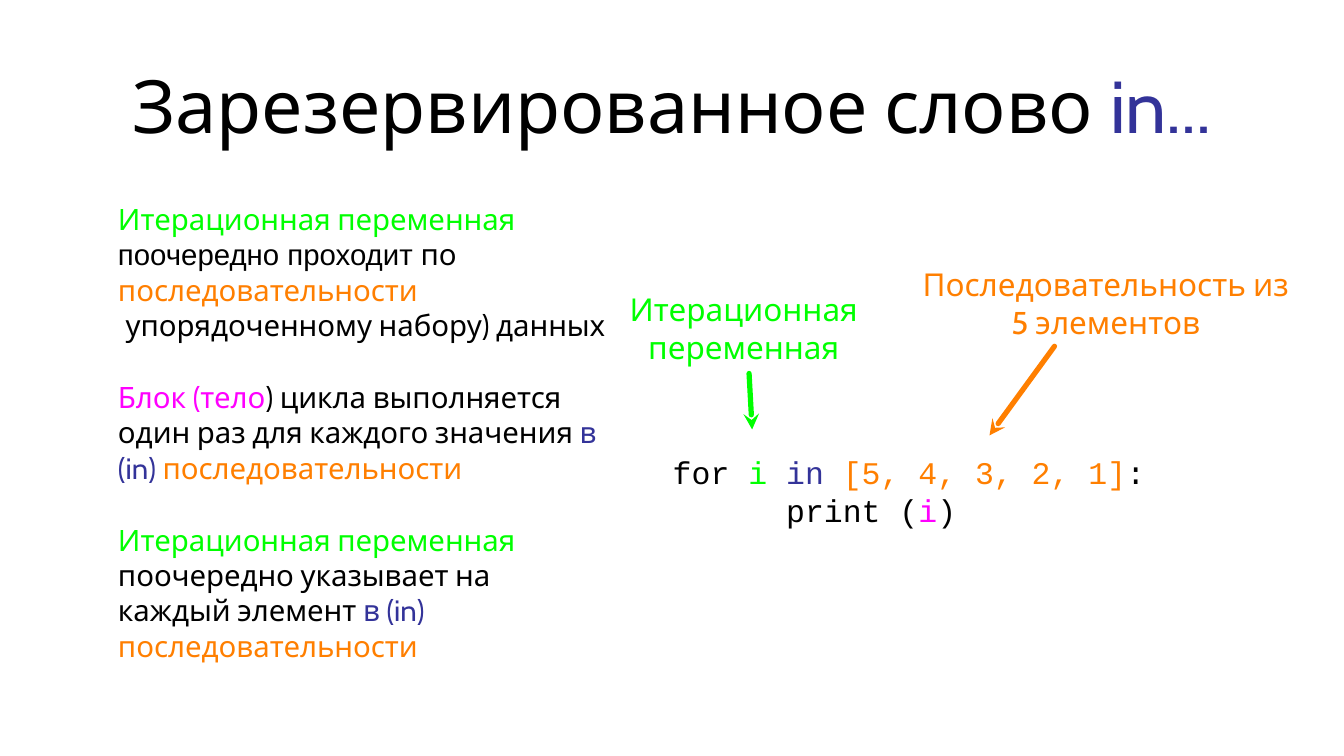
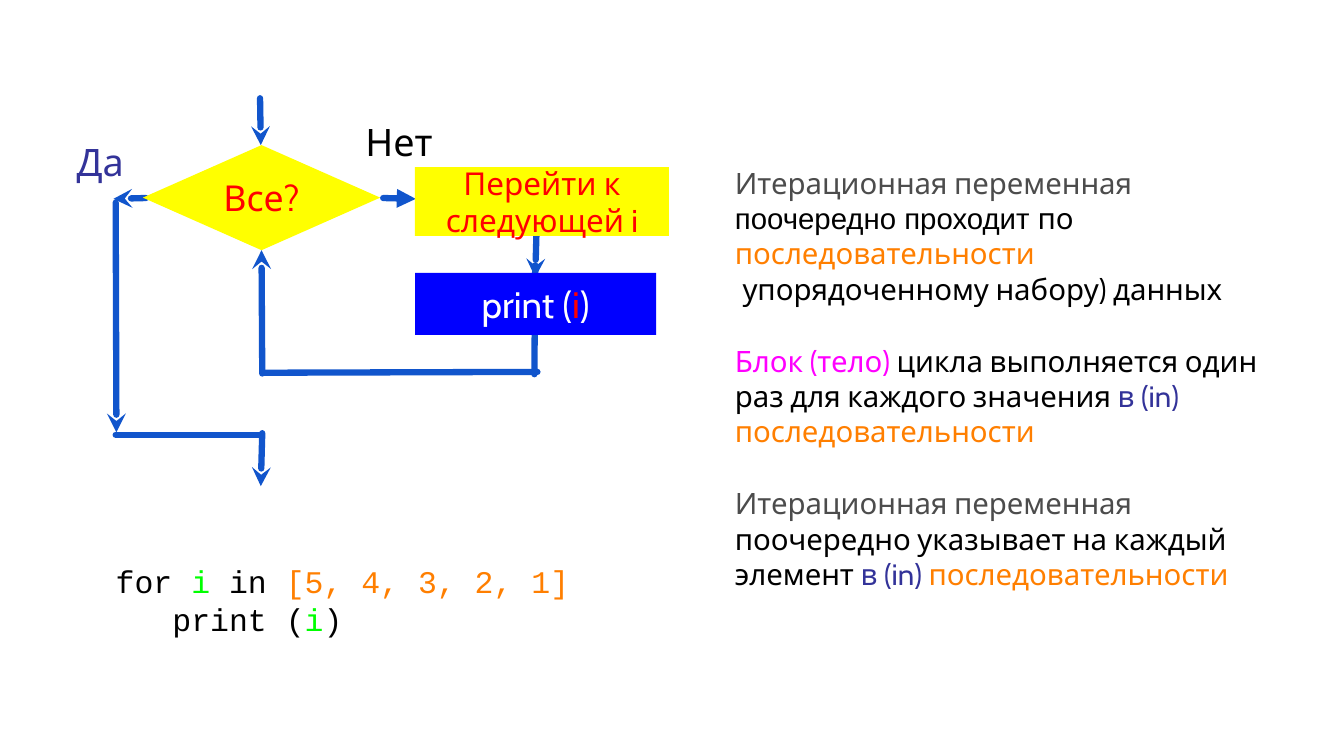
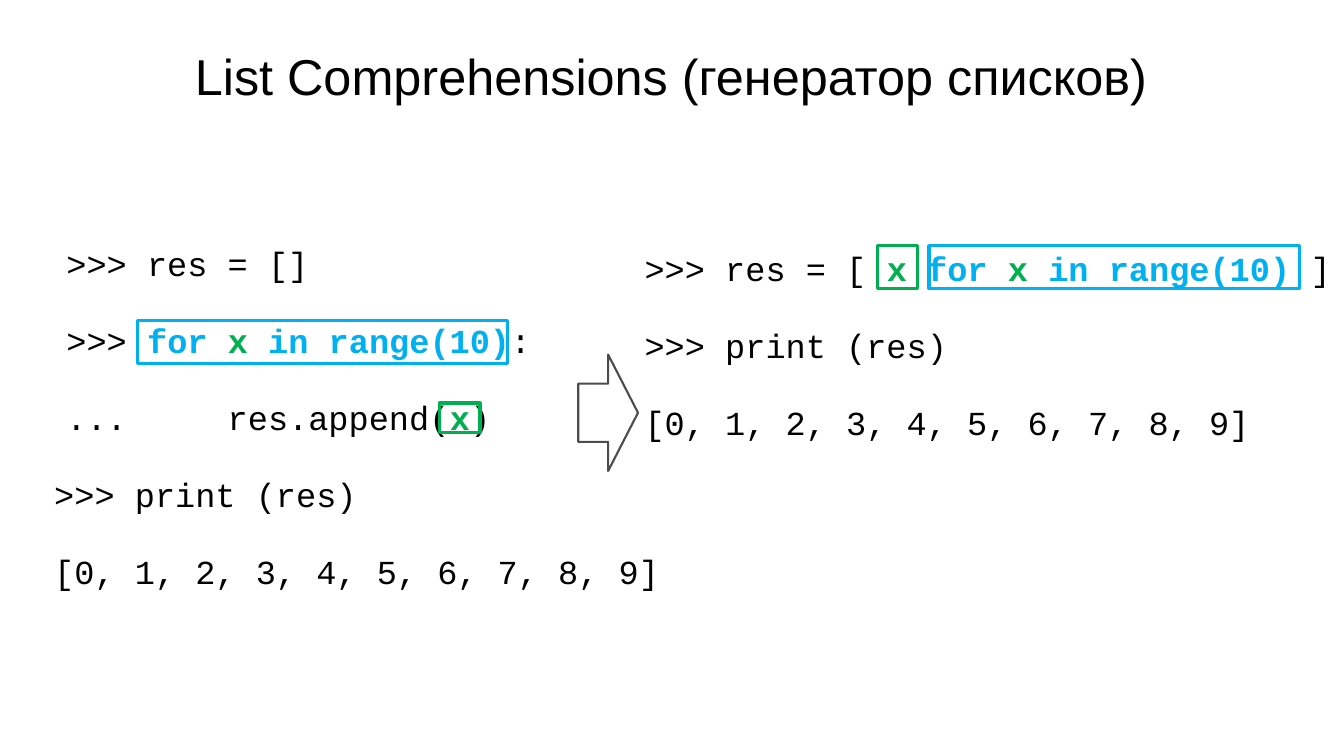
from lxml.etree import SubElement
from pptx import Presentation
from pptx.dml.color import RGBColor
from pptx.enum.shapes import MSO_CONNECTOR as Connector, MSO_SHAPE as Shape
from pptx.enum.text import MSO_ANCHOR as Anchor, MSO_AUTO_SIZE as AutoSize, PP_ALIGN as Align
from pptx.oxml.ns import qn
from pptx.util import Pt

BLACK = RGBColor(0, 0, 0)
WHITE = RGBColor(255, 255, 255)
GREY = RGBColor(0x4C, 0x4C, 0x4C)
LIME = RGBColor(0, 255, 0)
ORANGE = RGBColor(0xFF, 0x7F, 0)
MAGENTA = RGBColor(255, 0, 255)
INDIGO = RGBColor(0x33, 0x33, 0x99)
RED = RGBColor(255, 0, 0)
YELLOW = RGBColor(255, 255, 0)
BLUE = RGBColor(0, 0, 255)
FLOW = RGBColor(0x11, 0x55, 0xCC)
SKY = RGBColor(0, 0xB0, 0xF0)
GREEN = RGBColor(0, 0xB0, 0x50)

HUMAN, PLAIN, MONO = "Cabin", "Arial", "Courier New"
ARIAL = {"name": PLAIN}
BOLD = {"bold": True}
GAP = 35

IN_TITLE = [[("Зарезервированное слово ", BLACK), ("in...", INDIGO)]]
COMPREHENSION_TITLE = [[("List Comprehensions (генератор списков)", BLACK)]]


def loop_notes(variable_colour, block, rest):
    variable = ("Итерационная переменная ", variable_colour)
    inside = ("в (in) ", INDIGO)
    return [
        [variable, ("поочередно проходит ", BLACK, ARIAL), ("по ", BLACK),
         ("последовательности ", ORANGE), ("(", WHITE),
         ("упорядоченному набору) данных", BLACK)],
        [(block, MAGENTA), (rest + "цикла выполняется один раз для каждого значения ", BLACK),
         inside, ("последовательности", ORANGE)],
        [variable, ("поочередно указывает на каждый элемент ", BLACK),
         inside, ("последовательности", ORANGE)],
    ]


IN_NOTES = loop_notes(LIME, "Блок (тело", ") ")
FLOW_NOTES = loop_notes(GREY, "Блок (тело) ", "")

IN_CODE = [
    [("for ", BLACK), ("i ", LIME), ("in ", INDIGO), ("[5, 4, 3, 2, 1]", ORANGE), (":", BLACK)],
    [("print (", BLACK), ("i", MAGENTA), (")", BLACK)],
]
FLOW_CODE = [
    [("for ", BLACK), ("i ", LIME), ("in ", BLACK), ("[5, 4, 3, 2, 1] ", ORANGE), (":", WHITE)],
    [("print (", BLACK), ("i", LIME), (")", BLACK)],
]
IN_LABELS = [
    ("Итерационная переменная", LIME, (580.3, 288, 256.3, 49)),
    ("Последовательность из 5 элементов", ORANGE, (869, 264.2, 368.6, 49)),
]
IN_ARROWS = [
    (LIME, (713.5, 355.7), (716.4, 409)),
    (ORANGE, (1004.4, 329.8), (942.5, 414.7)),
]

FLOW_LINES = [
    ((247.7, 93.6), (248.4, 138.2), "stealth"),
    ((249.8, 355.7), (249.1, 238.3), "stealth"),
    ((511.2, 213.8), (509.8, 264.2), "stealth"),
    ((509.8, 252.7), (509, 356.4), None),
    ((249.8, 355), (511.9, 354.2), None),
    ((139, 188.6), (108, 189.4), "stealth"),
    ((249.8, 412.6), (248.4, 463), "stealth"),
    ((110.2, 193), (110.9, 411.8), "stealth"),
    ((110.2, 414), (248.4, 414), None),
    ((365, 188.6), (396, 189.4), "triangle"),
]
FLOW_BLOCKS = [
    (Shape.DIAMOND, YELLOW, (136.1, 138.2, 226.1, 100.1), 34, [("Все?", RED)]),
    (Shape.RECTANGLE, BLUE, (395.3, 259.9, 229.7, 59), 35,
     [("print (", WHITE), ("i", RED), (")", WHITE)]),
    (Shape.RECTANGLE, YELLOW, (395.3, 159.1, 241.9, 65.5), 30,
     [("Перейти к следующей i", RED)]),
]
FLOW_LABELS = [
    ("Да", INDIGO, (67, 128.9, 56.9, 49)),
    ("Нет", BLACK, (331.2, 110.2, 97.9, 49)),
]

PRINTED = [
    [(">>> print (res)", BLACK)],
    [("[0, 1, 2, 3, 4, 5, 6, 7, 8, 9]", BLACK)],
]
LOOP_CODE = [
    [(">>> res = []", BLACK)],
    [(">>> ", BLACK), ("for ", SKY, BOLD), ("x", GREEN, BOLD),
     (" in range(10)", SKY, BOLD), (":", BLACK)],
    [("...     res.append(", BLACK), ("x", GREEN, BOLD), (")", BLACK)],
] + PRINTED
COMPREHENSION_CODE = [
    [(">>> res = [ ", BLACK), ("x ", GREEN, BOLD), ("for ", SKY, BOLD), ("x ", GREEN, BOLD),
     ("in range(10) ", SKY, BOLD), ("]", BLACK)],
] + PRINTED
FRAMES = [
    (SKY, (131, 305.3, 352.8, 41)),
    (SKY, (884.9, 234, 352.8, 41)),
    (GREEN, (419, 383.8, 38.2, 28.1)),
    (GREEN, (835.9, 234, 38.2, 41)),
]


def points(values):
    return [Pt(value) for value in values]


def write(box, paras, size, font, align=Align.LEFT, inset=0, indents=(), gaps=()):
    frame = box.text_frame
    frame.auto_size = AutoSize.NONE
    frame.word_wrap = True
    frame.vertical_anchor = Anchor.MIDDLE
    frame.margin_left = frame.margin_right = Pt(inset)
    frame.margin_top = frame.margin_bottom = Pt(inset)
    for index, spans in enumerate(paras):
        para = frame.add_paragraph() if index else frame.paragraphs[0]
        para.alignment = align
        para.font.size = Pt(size)
        para.font.name = font
        if gaps:
            para.space_before = Pt(gaps[index])
        if indents:
            para._p.get_or_add_pPr().set("marL", str(Pt(indents[index])))
        for text, colour, *style in spans:
            span = para.add_run()
            span.text = text
            span.font.color.rgb = colour
            for name, value in (style[0] if style else {}).items():
                setattr(span.font, name, value)


def add_text(page, area, paras, size, font, **layout):
    write(page.shapes.add_textbox(*points(area)), paras, size, font, **layout)


def add_title(page, area, paras, size, font, inset):
    title = page.shapes.title
    title.left, title.top, title.width, title.height = points(area)
    write(title, paras, size, font, Align.CENTER, inset)


def add_labels(page, labels, size):
    for text, colour, area in labels:
        add_text(page, area, [[(text, colour)]], size, HUMAN, align=Align.CENTER)


def add_shape(page, kind, area, fill=None, line=None, width=0):
    shape = page.shapes.add_shape(kind, *points(area))
    shape.shadow.inherit = False
    if fill is None:
        shape.fill.background()
    else:
        shape.fill.solid()
        shape.fill.fore_color.rgb = fill
    if line is None:
        shape.line.fill.background()
    else:
        shape.line.color.rgb = line
        shape.line.width = Pt(width)
    return shape


def add_line(page, start, end, colour, width, tip):
    line = page.shapes.add_connector(Connector.STRAIGHT, *points(start + end))
    line.line.color.rgb = colour
    line.line.width = Pt(width)
    outline = line.line._get_or_add_ln()
    outline.set("cap", "rnd")
    SubElement(outline, qn("a:round"))
    if tip:
        SubElement(outline, qn("a:tailEnd"), type=tip)
    SubElement(line._element.spPr, qn("a:effectLst"))


def build_in_slide(page):
    add_title(page, (91.4, 12.2, 1097.3, 173.5), IN_TITLE, 70, HUMAN, 3)
    add_text(page, (50.4, 173.5, 529.2, 475.9), IN_NOTES, 28, HUMAN,
             inset=3, indents=[59] * 3, gaps=[0, GAP, GAP])
    add_text(page, (640.8, 414.7, 501.1, 105.1), IN_CODE, 30, MONO, indents=[0, 108])
    add_labels(page, IN_LABELS, 30)
    for colour, start, end in IN_ARROWS:
        add_line(page, start, end, colour, 5, "stealth")


def build_flow_slide(page):
    for start, end, tip in FLOW_LINES:
        add_line(page, start, end, FLOW, 6, tip)
    for kind, fill, area, size, spans in FLOW_BLOCKS:
        write(add_shape(page, kind, area, fill), [spans], size, HUMAN, Align.CENTER)
    add_labels(page, FLOW_LABELS, 36)
    add_text(page, (658.1, 135.4, 563.8, 449.3), FLOW_NOTES, 28, HUMAN,
             inset=3, indents=[38.9] * 3, gaps=[0, GAP, GAP])
    add_text(page, (110.2, 527.8, 514.8, 87.1), FLOW_CODE, 30, MONO, indents=[0, 54])


def build_comprehension_slide(page):
    add_title(page, (90.7, 18.7, 1097.3, 105.8), COMPREHENSION_TITLE, 48, PLAIN, 7.2)
    add_text(page, (0, 149, 643, 496.8), LOOP_CODE, 32, MONO,
             inset=7.2, indents=[56.2] * 3 + [44.6] * 2, gaps=[GAP] * 5)
    add_shape(page, Shape.RIGHT_ARROW, (550.8, 337.7, 56.9, 110.9), WHITE, GREY, 2)
    add_text(page, (562.3, 80.6, 717.8, 496.8), COMPREHENSION_CODE, 32, MONO,
             inset=7.2, indents=[44.6] * 3, gaps=[GAP] * 3)
    for colour, area in FRAMES:
        add_shape(page, Shape.RECTANGLE, area, line=colour, width=3)


def main():
    deck = Presentation()
    deck.slide_width, deck.slide_height = Pt(1280.16), Pt(720)
    title_only, blank = deck.slide_layouts[5], deck.slide_layouts[6]
    for layout, build in [(title_only, build_in_slide), (blank, build_flow_slide),
                          (title_only, build_comprehension_slide)]:
        build(deck.slides.add_slide(layout))
    deck.save("out.pptx")


if __name__ == "__main__":
    main()
